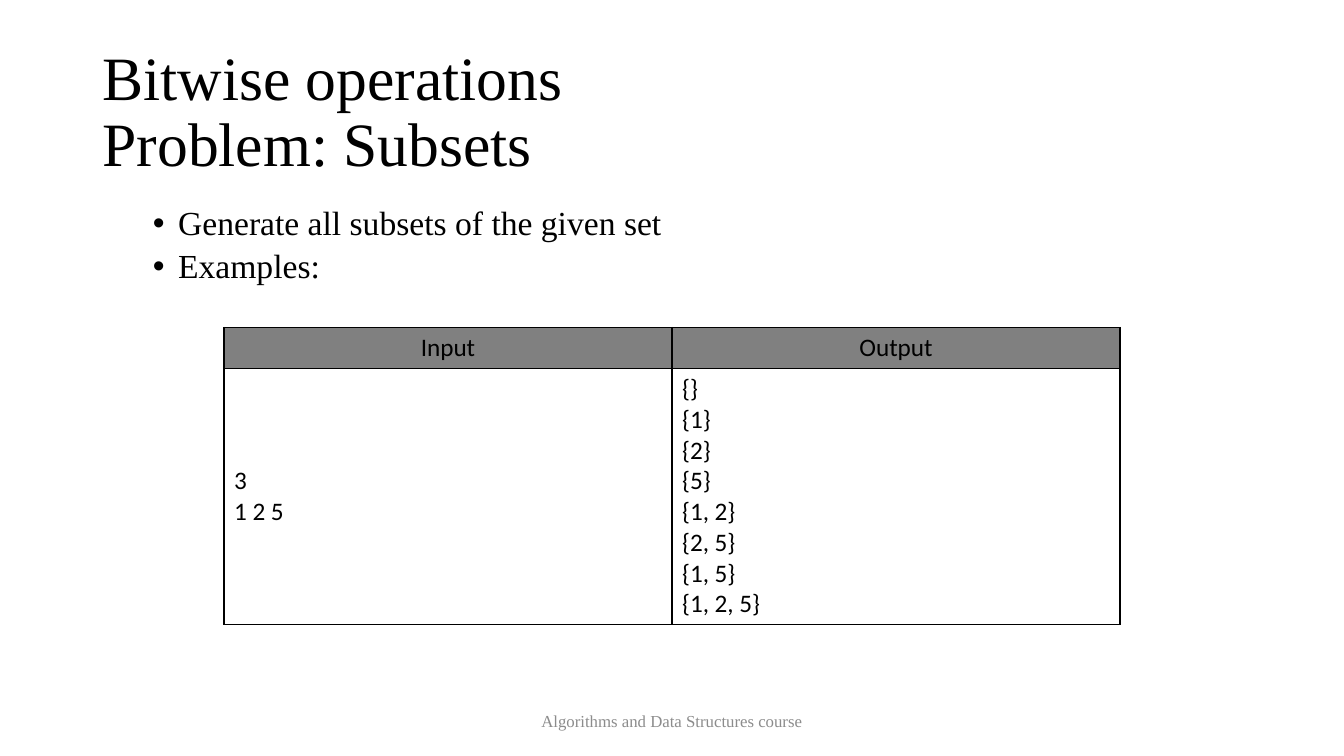
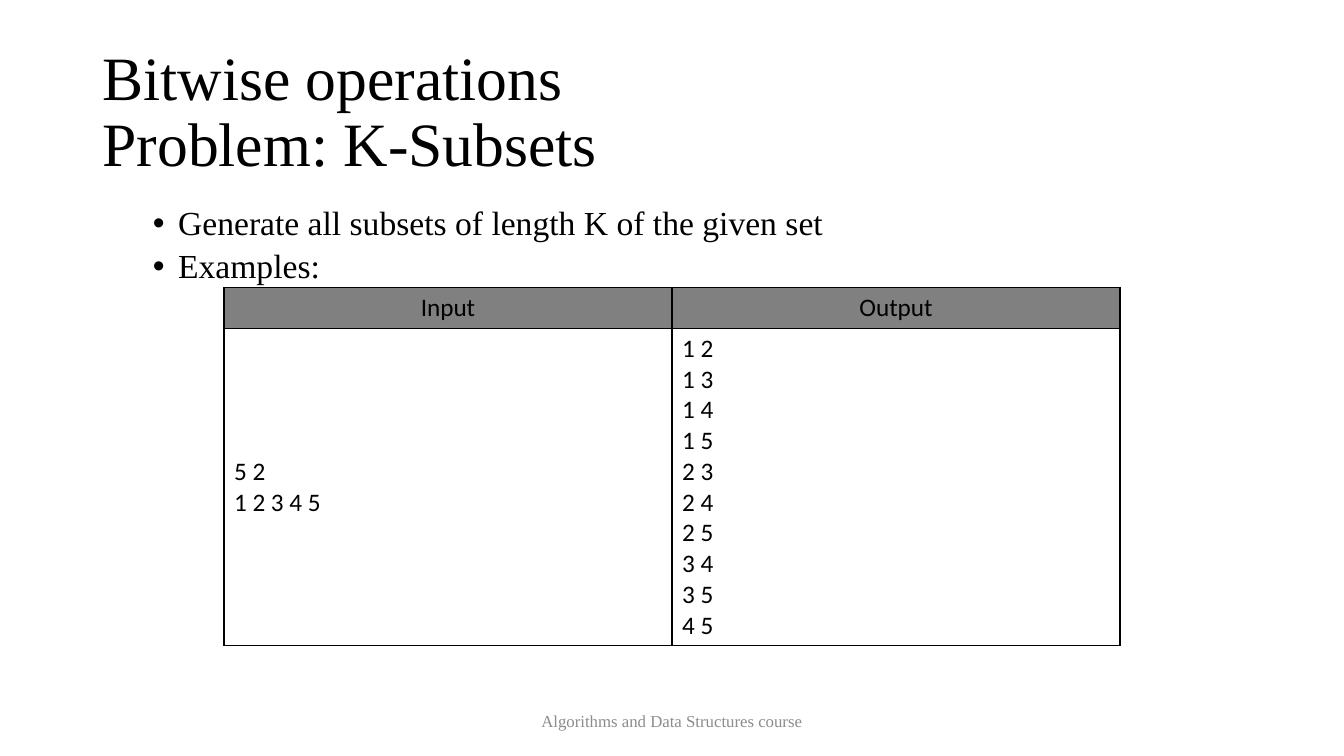
from lxml import etree
from pptx import Presentation
from pptx.dml.color import RGBColor
from pptx.enum.text import MSO_ANCHOR, MSO_AUTO_SIZE, PP_ALIGN
from pptx.oxml.ns import qn
from pptx.util import Inches, Pt

LEFT, CENTER = PP_ALIGN.LEFT, PP_ALIGN.CENTER
TOP, MIDDLE = MSO_ANCHOR.TOP, MSO_ANCHOR.MIDDLE
NO_AUTOFIT = MSO_AUTO_SIZE.NONE
TITLE_AND_CONTENT = 1

FOOTER = "Algorithms and Data Structures course"
PROBLEMS = [
    {
        "title": "Bitwise operations\vProblem: Subsets",
        "bullets": ["Generate all subsets of the given set", "Examples:"],
        "given": ["3", "1 2 5"],
        "answer": ["{}", "{1}", "{2}", "{5}", "{1, 2}", "{2, 5}", "{1, 5}", "{1, 2, 5}"],
        "table_area": (16.67, 43.33, 66.67, 38.8),
    },
    {
        "title": "Bitwise operations\vProblem: K-Subsets",
        "bullets": ["Generate all subsets of length K of the given set", "Examples:"],
        "given": ["5 2", "1 2 3 4 5"],
        "answer": ["1 2", "1 3", "1 4", "1 5", "2 3", "2 4", "2 5", "3 4", "3 5", "4 5"],
        "table_area": (16.67, 38, 66.67, 46.8),
    },
]


def rgb(code):
    return RGBColor.from_string(code)


def set_all(target, values):
    for name, value in values.items():
        setattr(target, name, value)


class CourseDeck:
    BLACK, GRAY, MUTED = "000000", "808080", "8C8C8C"
    SERIF, SANS = "Times New Roman", "Calibri"
    TITLE_AREA = (6.88, 5.33, 86.25, 19.33)
    BODY_AREA = (6.88, 26.67, 86.25, 63.47)
    FOOTER_AREA = (33.12, 92.67, 33.75, 5.33)
    HEADER_SHARE = 5.4

    def __init__(self):
        self.deck = Presentation()
        set_all(self.deck, {"slide_width": Inches(13.33), "slide_height": Inches(7.5)})
        self.page = None

    def area(self, shares):
        """Turn percentages of the slide into left, top, width and height."""
        across, down = self.deck.slide_width, self.deck.slide_height
        return [int(side * share / 100) for side, share in zip((across, down) * 2, shares)]

    def place(self, box, shares, anchor):
        sides = ("left", "top", "width", "height")
        set_all(box, dict(zip(sides, self.area(shares))))
        set_all(box.text_frame, {"word_wrap": True, "auto_size": NO_AUTOFIT,
                                 "vertical_anchor": anchor})

    def set_text(self, frame, lines, size, font, color=BLACK, **layout):
        """Make each line a paragraph; layout holds paragraph attributes."""
        frame.text = "\n".join(lines)
        for para in frame.paragraphs:
            set_all(para, layout)
            for span in para.runs:
                set_all(span.font, {"size": Pt(size), "name": font, "bold": False})
                span.font.color.rgb = rgb(color)

    def new_page(self):
        layout = self.deck.slide_layouts[TITLE_AND_CONTENT]
        self.page = self.deck.slides.add_slide(layout)

    def title(self, text):
        box = self.page.shapes.title
        self.place(box, self.TITLE_AREA, MIDDLE)
        self.set_text(box.text_frame, [text], 44, self.SERIF,
                      alignment=LEFT, line_spacing=0.9)

    def bullets(self, lines):
        box = self.page.placeholders[1]
        self.place(box, self.BODY_AREA, TOP)
        self.set_text(box.text_frame, lines, 24, self.SERIF,
                      level=1, line_spacing=0.9, space_before=Pt(5))
        for para in box.text_frame.paragraphs:
            props = para._p.get_or_add_pPr()
            props.set("marL", str(Inches(0.75)))
            props.set("indent", str(Inches(-0.25)))
            etree.SubElement(props, qn("a:buFont"), typeface="Arial")
            etree.SubElement(props, qn("a:buChar"), char="•")

    def footer(self, text):
        box = self.page.shapes.add_textbox(*self.area(self.FOOTER_AREA))
        self.place(box, self.FOOTER_AREA, MIDDLE)
        self.set_text(box.text_frame, [text], 12, self.SERIF, self.MUTED, alignment=CENTER)

    def border(self, cell):
        props = cell._tc.get_or_add_tcPr()
        for side in ("a:lnL", "a:lnR", "a:lnT", "a:lnB"):
            line = etree.SubElement(props, qn(side), w=str(Pt(1)))
            fill = etree.SubElement(line, qn("a:solidFill"))
            etree.SubElement(fill, qn("a:srgbClr"), val=self.BLACK)

    def example_table(self, given, answer, shares):
        rows = [(["Input"], ["Output"]), (given, answer)]
        table = self.page.shapes.add_table(2, 2, *self.area(shares)).table
        set_all(table, {"first_row": False, "horz_banding": False})
        heights = (self.HEADER_SHARE, shares[3] - self.HEADER_SHARE)
        for index, (row, height) in enumerate(zip(rows, heights)):
            is_header = index == 0
            table.rows[index].height = self.area((0, height))[1]
            for column, lines in enumerate(row):
                cell = table.cell(index, column)
                cell.vertical_anchor = MIDDLE
                self.border(cell)
                if is_header:
                    cell.fill.solid()
                    cell.fill.fore_color.rgb = rgb(self.GRAY)
                else:
                    cell.fill.background()
                self.set_text(cell.text_frame, lines, 18, self.SANS,
                              alignment=CENTER if is_header else LEFT)


def main():
    course = CourseDeck()
    for problem in PROBLEMS:
        course.new_page()
        course.title(problem["title"])
        course.bullets(problem["bullets"])
        course.footer(FOOTER)
        course.example_table(problem["given"], problem["answer"], problem["table_area"])
    course.deck.save("out.pptx")


if __name__ == "__main__":
    main()
